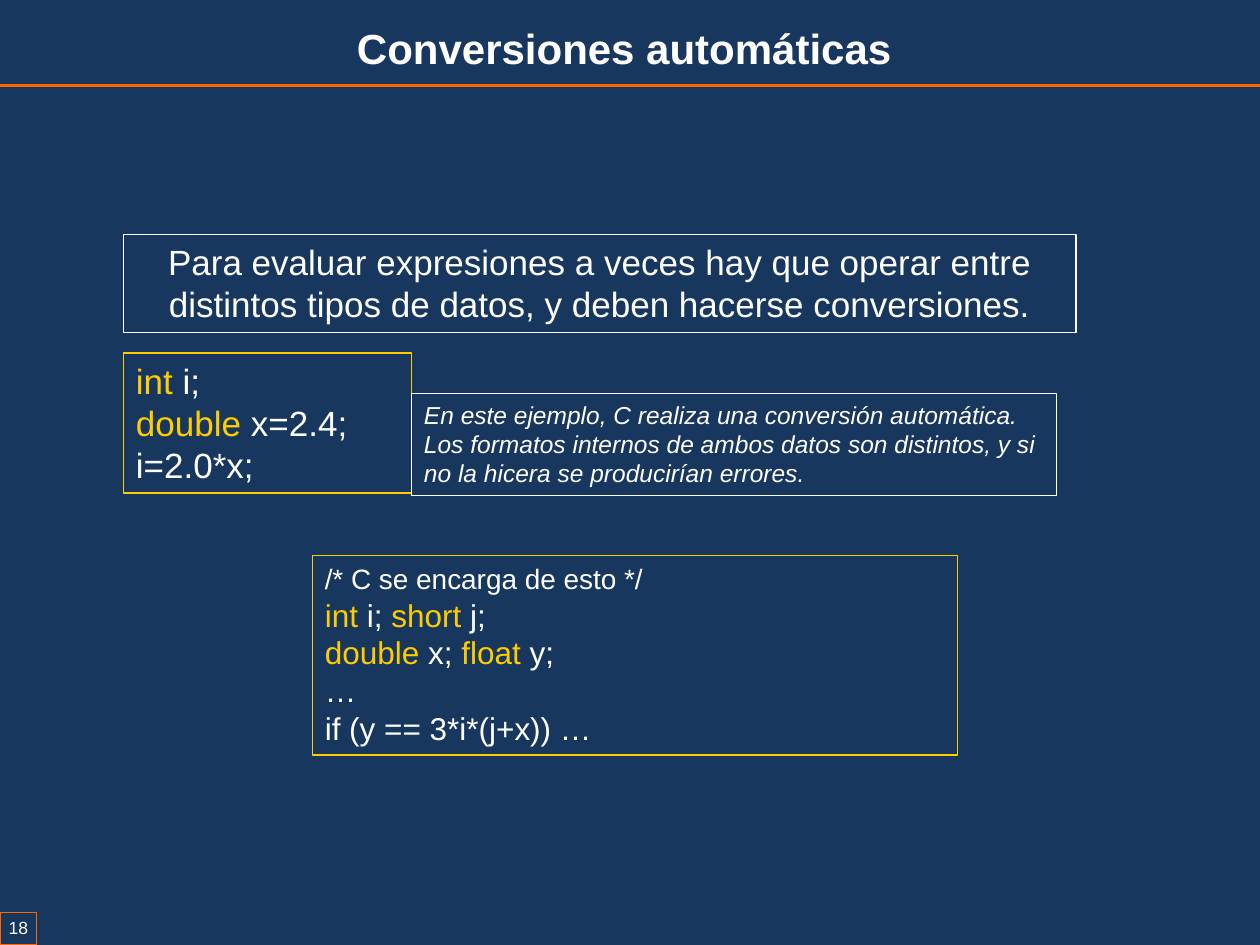
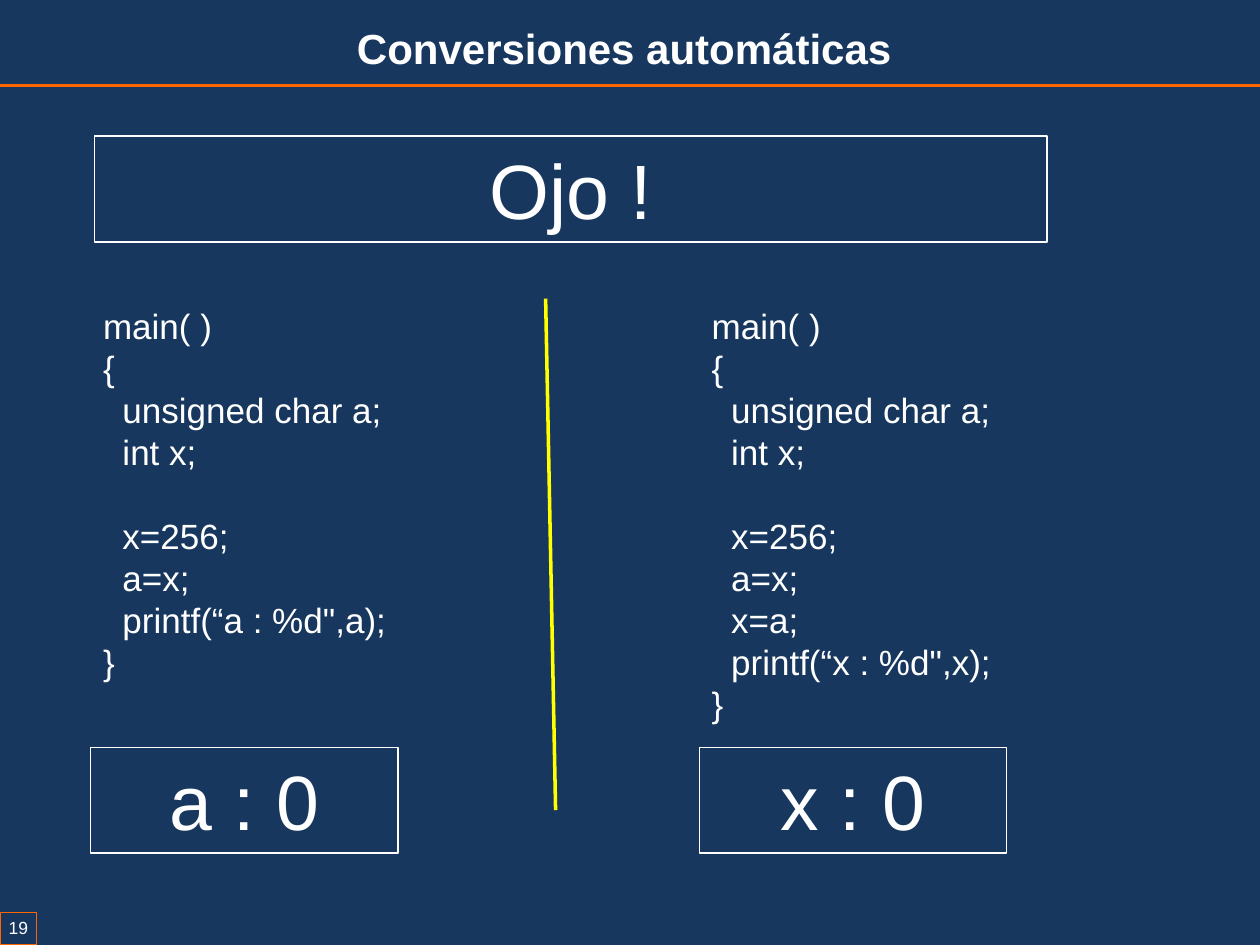
from pptx import Presentation
from pptx.dml.color import RGBColor
from pptx.enum.shapes import MSO_CONNECTOR, MSO_SHAPE
from pptx.enum.text import MSO_ANCHOR, MSO_AUTO_SIZE, PP_ALIGN
from pptx.oxml.ns import qn
from pptx.util import Pt
from lxml import etree

LEFT, MID = PP_ALIGN.LEFT, PP_ALIGN.CENTER
TOP = MSO_ANCHOR.TOP
GROW = MSO_AUTO_SIZE.SHAPE_TO_FIT_TEXT
RECT = MSO_SHAPE.RECTANGLE
LINE = MSO_CONNECTOR.STRAIGHT

WIDE, HIGH = 720, 540
FONT = "Arial"
TITLE = "Conversiones automáticas"
COLS = {"back": "17375E", "text": "FFFFFF", "key": "FFCC00",
        "rule": "FF6600", "split": "FFFF00"}


def tint(name):
    """Return the named colour."""
    return RGBColor.from_string(COLS[name])


def write(shape, lines, size=20, bold=False, ital=False, align=LEFT,
          wrap=True, pad=(7.2, 3.6)):
    """Fill a shape with lines, or (line, options) pairs; bars enclose keywords."""
    frame = shape.text_frame
    frame.word_wrap = wrap
    frame.auto_size = GROW
    frame.vertical_anchor = TOP
    frame.margin_left = frame.margin_right = Pt(pad[0])
    frame.margin_top = frame.margin_bottom = Pt(pad[1])
    for num, line in enumerate(lines):
        text, opts = line if isinstance(line, tuple) else (line, {})
        para = frame.paragraphs[0] if num == 0 else frame.add_paragraph()
        para.alignment = align
        para.space_before = Pt(opts.get("gap", 0))
        para._p.get_or_add_pPr().set("marL", str(Pt(opts.get("dent", 0))))
        for part, piece in enumerate(text.split("|")):
            if piece:
                run = para.add_run()
                run.text = piece
                font = run.font
                font.name, font.size = FONT, Pt(opts.get("size", size))
                font.bold, font.italic = bold, ital
                font.color.rgb = tint("key" if part % 2 else "text")


def box(slide, area, lines, edge="text", **form):
    """Add an outlined rectangle with text."""
    shape = slide.shapes.add_shape(RECT, *map(Pt, area))
    shape.shadow.inherit = False
    shape.fill.background()
    shape.line.color.rgb = tint(edge)
    shape.line.width = Pt(0.75)
    write(shape, lines, **form)


def label(slide, area, lines, **form):
    """Add plain text without an outline."""
    write(slide.shapes.add_textbox(*map(Pt, area)), lines, **form)


def rule(slide, ends, hue):
    """Add a straight line."""
    line = slide.shapes.add_connector(LINE, *map(Pt, ends))
    line.line.color.rgb = tint(hue)
    line.line.width = Pt(2)
    etree.SubElement(line._element.spPr, qn("a:effectLst"))


def start(deck, page):
    """Add a slide with the shared title, rule and page number."""
    slide = deck.slides.add_slide(deck.slide_layouts[6])
    slide.background.fill.solid()
    slide.background.fill.fore_color.rgb = tint("back")
    rule(slide, (0, 49, WIDE, 49), "rule")
    box(slide, (0, HIGH - 18.7, 21, 18.7), [str(page)], "rule", size=10,
        align=MID, wrap=False, pad=(1.4, 2.9))
    label(slide, (154, 9.4, 405.4, 36), [TITLE], size=24, bold=True, align=MID)
    return slide


def code(body):
    """Wrap indented statements in a main function, with a gap after the declarations."""
    decl = ["unsigned char a;", "int x;"]
    inner = [(line, {"dent": 11.1, "gap": 24 if num == len(decl) else 0})
             for num, line in enumerate(decl + body)]
    return ["main( )", "{", *inner, "}"]


def rules(deck):
    """Build the slide that explains the conversions."""
    slide = start(deck, 18)
    box(slide, (70.6, 134, 544.3, 56),
        ["Para evaluar expresiones a veces hay que operar entre distintos "
         "tipos de datos, y deben hacerse conversiones."], align=MID)
    box(slide, (70.6, 201.7, 164.4, 80),
        ["|int |i;", "|double| x=2.4;", "i=2.0*x;"], "key")
    box(slide, (235.2, 224.8, 368.6, 58.3),
        ["En este ejemplo, C realiza una conversión automática. Los formatos "
         "internos de ambos datos son distintos, y si no la hicera se "
         "producirían errores."], size=14, ital=True)
    box(slide, (178.5, 317.6, 368.6, 113.8),
        [("/* C se encarga de esto */", {"size": 16}), "|int |i; |short |j;",
         "|double| x; |float| y;", "…", "if (y == 3*i*(j+x)) …"],
        "key", size=18)


def warn(deck):
    """Build the slide that compares two programs and their output."""
    slide = start(deck, 19)
    box(slide, (54, 77.8, 544.3, 60.5), ["Ojo !"], size=44, align=MID)
    sides = [
        (51.8, 225.4, "a : 0", ["x=256;", "a=x;", "printf(“a : %d\",a);"]),
        (399.6, 249.8, "x : 0",
         ["x=256;", "a=x;", "x=a;", "printf(“x : %d\",x);"]),
    ]
    for left, tall, out, body in sides:
        label(slide, (left, 170.6, 226.8, tall), code(body))
        box(slide, (left, 427, 175.7, 60.5), [out], size=44, align=MID)
    rule(slide, (311.8, 170.6, 317.5, 463), "split")


def main():
    """Build and save the deck."""
    deck = Presentation()
    deck.slide_width, deck.slide_height = Pt(WIDE), Pt(HIGH)
    rules(deck)
    warn(deck)
    deck.save("out.pptx")


if __name__ == "__main__":
    main()
